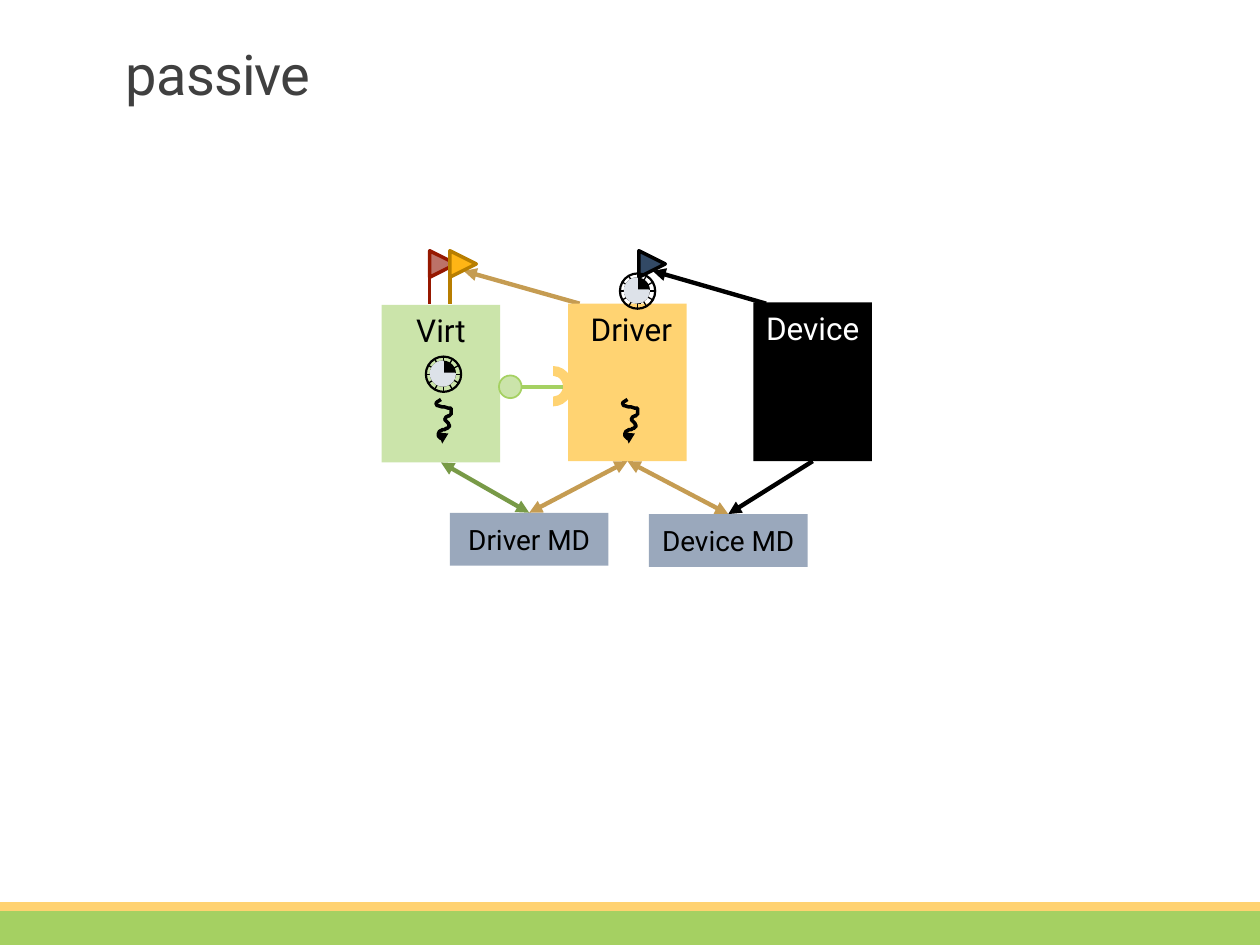
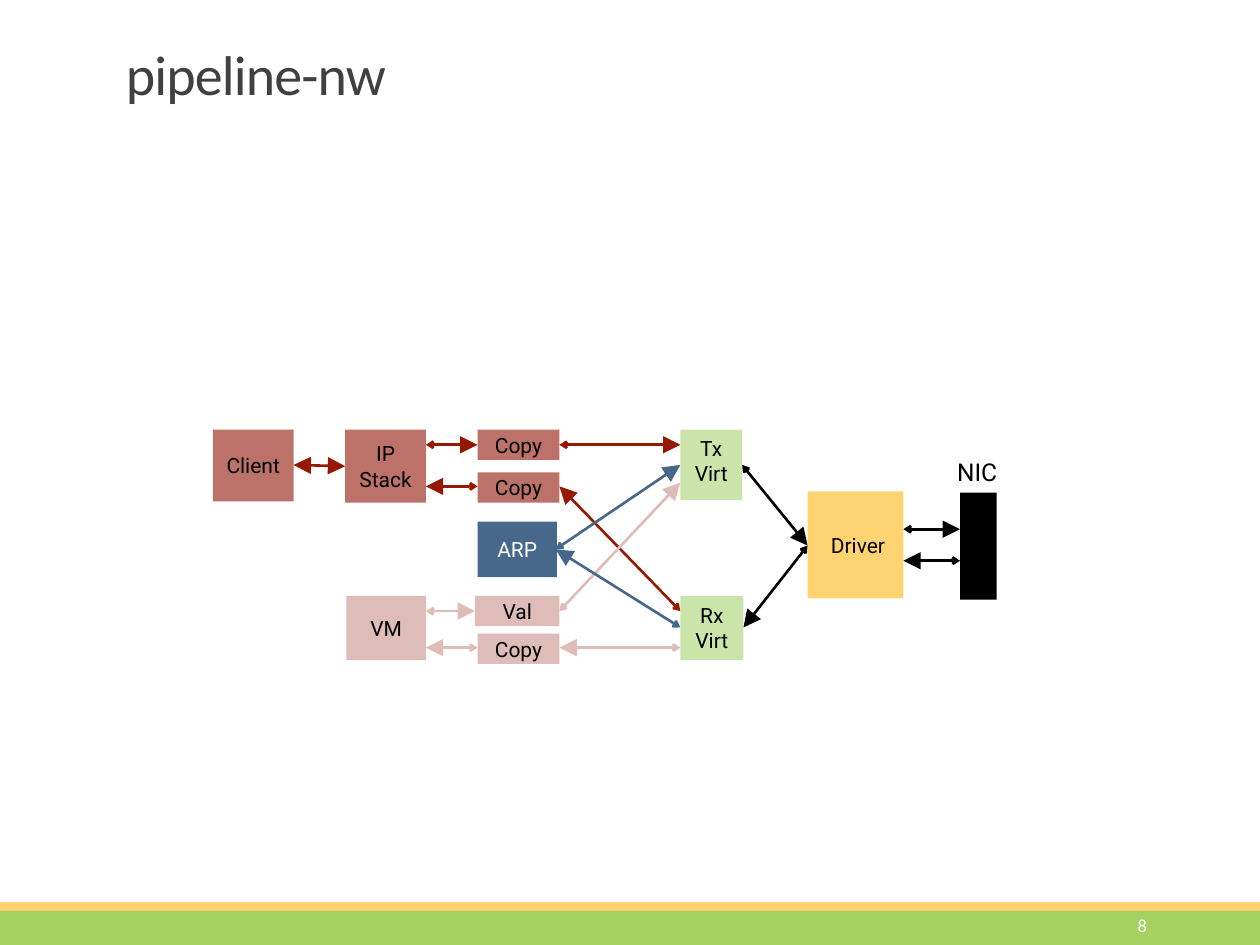
import math
from dataclasses import dataclass
from typing import Optional

from pptx import Presentation
from pptx.dml.color import RGBColor
from pptx.enum.shapes import MSO_CONNECTOR, MSO_SHAPE
from pptx.enum.text import MSO_ANCHOR, PP_ALIGN
from pptx.oxml.ns import qn
from pptx.oxml.xmlchemy import OxmlElement
from pptx.shapes.base import BaseShape
from pptx.slide import Slide
from pptx.util import Pt

EMU_PER_PIXEL = 9144  # 100 px to the inch
BLANK_LAYOUT = 6
RECTANGLE, OVAL, PIE = MSO_SHAPE.RECTANGLE, MSO_SHAPE.OVAL, MSO_SHAPE.PIE
TRIANGLE, BLOCK_ARC = MSO_SHAPE.ISOSCELES_TRIANGLE, MSO_SHAPE.BLOCK_ARC
STRAIGHT = MSO_CONNECTOR.STRAIGHT
TOP, MIDDLE = MSO_ANCHOR.TOP, MSO_ANCHOR.MIDDLE
LEFT, CENTER, RIGHT = PP_ALIGN.LEFT, PP_ALIGN.CENTER, PP_ALIGN.RIGHT

Point = tuple[int, int]
Area = tuple[int, int, int, int]


@dataclass(frozen=True)
class Theme:
    body_font: str = "Roboto"
    plain_font: str = "Calibri"
    title_size: float = 32
    component_size: float = 18
    region_size: float = 16
    device_size: float = 14
    stage_size: float = 12
    number_size: float = 10.5
    black: str = "000000"
    white: str = "FFFFFF"
    title: str = "404040"
    band: str = "A5D062"
    band_edge: str = "FFD271"
    driver: str = "FFD372"
    driver_line: str = "C59C52"
    virt: str = "CBE4AA"
    virt_line: str = "789A47"
    interface: str = "A5D162"
    region: str = "9AA8BC"
    client: str = "BC7268"
    client_line: str = "961800"
    machine: str = "DEBDB9"
    arp: str = "47678B"
    amber: str = "FFB515"
    amber_line: str = "B87E00"
    navy: str = "324965"
    dial: str = "DDE2E9"


THEME = Theme()


@dataclass(frozen=True)
class TextStyle:
    size: float
    color: str = THEME.black
    font: str = THEME.body_font
    align: PP_ALIGN = CENTER
    anchor: MSO_ANCHOR = MIDDLE
    side_margin: int = 5


@dataclass(frozen=True)
class Box:
    text: str
    area: Area
    fill: str
    style: TextStyle


@dataclass(frozen=True)
class Head:
    kind: str
    size: str


@dataclass(frozen=True)
class Link:
    start: Point
    end: Point
    color: str
    width: float
    head: Optional[Head] = None
    tail: Optional[Head] = None


@dataclass(frozen=True)
class Flag:
    x: int
    fill: str
    line: str


COMPONENT = TextStyle(THEME.component_size, anchor=TOP)
REGION = TextStyle(THEME.region_size)
STAGE = TextStyle(THEME.stage_size)
MEDIUM = Head("triangle", "med")
STRONG = Head("triangle", "lg")
WEAK = Head("arrow", "sm")


# Drawing helpers
def emu(*pixels: float) -> list[int]:
    return [round(value * EMU_PER_PIXEL) for value in pixels]


def write(shape: BaseShape, text: str, style: TextStyle) -> None:
    frame = shape.text_frame
    frame.word_wrap = True
    frame.vertical_anchor = style.anchor
    frame.margin_left = frame.margin_right = emu(style.side_margin)[0]
    frame.text = text
    for paragraph in frame.paragraphs:
        paragraph.alignment = style.align
        for run in paragraph.runs:
            run.font.size = Pt(style.size)
            run.font.name = style.font
            run.font.color.rgb = RGBColor.from_string(style.color)


def add_text(slide: Slide, text: str, area: Area, style: TextStyle) -> BaseShape:
    box = slide.shapes.add_textbox(*emu(*area))
    write(box, text, style)
    return box


def paint(shape: BaseShape, fill: Optional[str], line: Optional[str], width: float) -> None:
    shape.shadow.inherit = False
    if fill:
        shape.fill.solid()
        shape.fill.fore_color.rgb = RGBColor.from_string(fill)
    else:
        shape.fill.background()
    if line:
        shape.line.color.rgb = RGBColor.from_string(line)
        shape.line.width = Pt(width)
    else:
        shape.line.fill.background()


def add_shape(slide: Slide, kind: MSO_SHAPE, area: Area, fill: Optional[str] = None,
              line: Optional[str] = None, width: float = 1) -> BaseShape:
    shape = slide.shapes.add_shape(kind, *emu(*area))
    paint(shape, fill, line, width)
    return shape


def add_box(slide: Slide, box: Box) -> None:
    shape = add_shape(slide, RECTANGLE, box.area, box.fill)
    if box.text:
        write(shape, box.text, box.style)


def set_heads(shape: BaseShape, head: Optional[Head], tail: Optional[Head]) -> None:
    line = shape.element.spPr.find(qn("a:ln"))
    for tag, end in (("a:headEnd", head), ("a:tailEnd", tail)):
        if end:
            element = OxmlElement(tag)
            element.set("type", end.kind)
            element.set("w", end.size)
            element.set("len", end.size)
            line.append(element)


def add_link(slide: Slide, link: Link) -> None:
    connector = slide.shapes.add_connector(STRAIGHT, *emu(*link.start, *link.end))
    connector.line.color.rgb = RGBColor.from_string(link.color)
    connector.line.width = Pt(link.width)
    set_heads(connector, link.head, link.tail)
    connector.element.spPr.append(OxmlElement("a:effectLst"))


# Symbols of the component diagram
THREAD_START = (10, 0)
THREAD_CURVES = [
    ((0, 6), (13, 6), (18, 7)), ((19, 14), (17, 11), (13, 16)),
    ((14, 17), (19, 21), (15, 23)), ((13, 24), (9, 25), (9, 25)),
    ((7, 30), (9, 31), (14, 32)), ((13, 36), (14, 35), (11, 35)),
]
CURVE_STEPS = 8


def add_thread(slide: Slide, left: int, top: int) -> None:
    start, points = THREAD_START, []
    for curve in THREAD_CURVES:
        controls = (start, *curve)
        for step in range(1, CURVE_STEPS + 1):
            t = step / CURVE_STEPS
            weights = [math.comb(3, i) * t**i * (1 - t)**(3 - i) for i in range(4)]
            x, y = (sum(w * p[axis] for w, p in zip(weights, controls)) for axis in (0, 1))
            points.append((left + x, top + y))
        start = curve[-1]
    builder = slide.shapes.build_freeform(
        left + THREAD_START[0], top + THREAD_START[1], scale=EMU_PER_PIXEL)
    builder.add_line_segments(points, close=False)
    thread = builder.convert_to_shape()
    paint(thread, None, THEME.black, 2)
    set_heads(thread, None, MEDIUM)


def add_flag(slide: Slide, flag: Flag) -> None:
    pennant = add_shape(slide, TRIANGLE, (flag.x, 199, 21, 21), flag.fill, flag.line, 2)
    pennant.rotation = 90
    add_link(slide, Link((flag.x, 220), (flag.x, 241), flag.line, 2))


def add_clock(slide: Slide, x: int, y: int, radius: int = 14) -> None:
    for angle in range(0, 180, 30):
        dx = round(radius * math.cos(math.radians(angle)))
        dy = round(radius * math.sin(math.radians(angle)))
        add_link(slide, Link((x - dx, y - dy), (x + dx, y + dy), THEME.black, 0.75))
    face = (x - 10, y - 10, 19, 19)
    add_shape(slide, OVAL, face, THEME.black, THEME.black, 1.25)
    dial = add_shape(slide, PIE, face, THEME.dial, THEME.dial, 1.25)
    dial.adjustments[0], dial.adjustments[1] = 0.565, 161.655
    rim = (x - radius, y - radius, 2 * radius, 2 * radius)
    add_shape(slide, OVAL, rim, None, THEME.black, 1.25)


# Shared slide frame
def add_slide(presentation: Presentation, title: str, font: str) -> Slide:
    slide = presentation.slides.add_slide(presentation.slide_layouts[BLANK_LAYOUT])
    add_shape(slide, RECTANGLE, (0, 721, 1000, 29), THEME.band)
    add_shape(slide, RECTANGLE, (0, 716, 1000, 7), THEME.band_edge)
    style = TextStyle(THEME.title_size, THEME.title, font, LEFT, TOP, 10)
    paragraph = add_text(slide, title, (90, 35, 622, 55), style).text_frame.paragraphs[0]
    paragraph.line_spacing = 0.85
    paragraph.runs[0].font._element.set("spc", "-50")
    return slide


def build_passive(presentation: Presentation) -> None:
    slide = add_slide(presentation, "passive", THEME.body_font)

    # Device, memory regions and the links between components
    device_style = TextStyle(THEME.component_size, THEME.white, anchor=TOP)
    add_box(slide, Box("Device", (598, 240, 94, 126), THEME.black, device_style))
    for start, end, color, head in (
        ((645, 366), (578, 408), THEME.black, None),
        ((578, 408), (498, 366), THEME.driver_line, MEDIUM),
        ((498, 366), (420, 407), THEME.driver_line, MEDIUM),
        ((420, 407), (350, 367), THEME.virt_line, MEDIUM),
        ((608, 241), (518, 215), THEME.black, None),
        ((460, 241), (368, 215), THEME.driver_line, None),
    ):
        add_link(slide, Link(start, end, color, 2.5, head, MEDIUM))
    add_box(slide, Box("Driver MD", (357, 407, 126, 42), THEME.region, REGION))
    add_box(slide, Box("Device MD", (515, 408, 126, 42), THEME.region, REGION))

    # Driver with its socket
    socket = add_shape(slide, BLOCK_ARC, (423, 291, 32, 31), THEME.driver)
    socket.rotation = 90
    add_box(slide, Box(" Driver", (451, 241, 94, 125), THEME.driver, COMPONENT))
    add_thread(slide, 488, 317)

    # Virt with its flags, clock and interface
    add_flag(slide, Flag(341, THEME.client, THEME.client_line))
    add_flag(slide, Flag(357, THEME.amber, THEME.amber_line))
    add_link(slide, Link((414, 307), (447, 307), THEME.interface, 2.25))
    add_box(slide, Box("Virt", (303, 242, 94, 125), THEME.virt, COMPONENT))
    add_thread(slide, 340, 317)
    add_clock(slide, 352, 297)
    add_shape(slide, OVAL, (396, 298, 18, 18), THEME.virt, THEME.interface, 1)

    # Driver flag and clock
    add_flag(slide, Flag(507, THEME.navy, THEME.black))
    add_clock(slide, 506, 231)


def build_pipeline(presentation: Presentation) -> None:
    slide = add_slide(presentation, "pipeline-nw", THEME.plain_font)
    number_style = TextStyle(THEME.number_size, THEME.white, THEME.plain_font, RIGHT, MIDDLE, 10)
    add_text(slide, "8", (812, 723, 108, 23), number_style)
    add_text(slide, "NIC", (745, 358, 61, 38), TextStyle(THEME.device_size, anchor=TOP))

    # Links run from the weak to the strong end
    for color, routes in (
        (THEME.black, [((589, 369), (641, 433)), ((641, 433), (590, 498)),
                       ((762, 445), (717, 445)), ((717, 420), (762, 420))]),
        (THEME.client_line, [((540, 485), (444, 386)), ((444, 353), (540, 353)),
                             ((379, 386), (338, 386)), ((338, 353), (379, 353))]),
        (THEME.machine, [((444, 485), (540, 383)), ((540, 514), (444, 514)),
                         ((379, 514), (338, 514)), ((338, 485), (377, 485))]),
        (THEME.arp, [((441, 436), (540, 369)), ((540, 498), (441, 436))]),
    ):
        for start, end in routes:
            add_link(slide, Link(start, end, color, 1.5, WEAK, STRONG))
    add_link(slide, Link((233, 369), (274, 370), THEME.client_line, 1.5, STRONG, STRONG))

    # Pipeline stages
    virt_style = TextStyle(THEME.stage_size, anchor=TOP)
    for box in (
        Box("", (762, 391, 29, 85), THEME.black, STAGE),
        Box(" Driver", (641, 390, 76, 85), THEME.driver, STAGE),
        Box("Rx\vVirt", (540, 473, 50, 51), THEME.virt, virt_style),
        Box("Tx\vVirt", (540, 341, 49, 56), THEME.virt, virt_style),
        Box("ARP", (379, 414, 63, 44), THEME.arp, TextStyle(THEME.stage_size, THEME.white)),
        Box("Client", (169, 341, 64, 57), THEME.client, STAGE),
        Box("IP Stack", (274, 341, 64, 58), THEME.client, STAGE),
        Box("VM", (275, 473, 63, 51), THEME.machine, STAGE),
        Box("Copy", (379, 341, 65, 24), THEME.client, STAGE),
        Box("Copy", (379, 375, 65, 24), THEME.client, STAGE),
        Box("Val", (377, 473, 67, 24), THEME.machine, STAGE),
        Box("Copy", (379, 503, 65, 24), THEME.machine, STAGE),
    ):
        add_box(slide, box)


def main() -> None:
    presentation = Presentation()
    presentation.slide_width, presentation.slide_height = emu(1000, 750)
    build_passive(presentation)
    build_pipeline(presentation)
    presentation.save("out.pptx")


if __name__ == "__main__":
    main()
